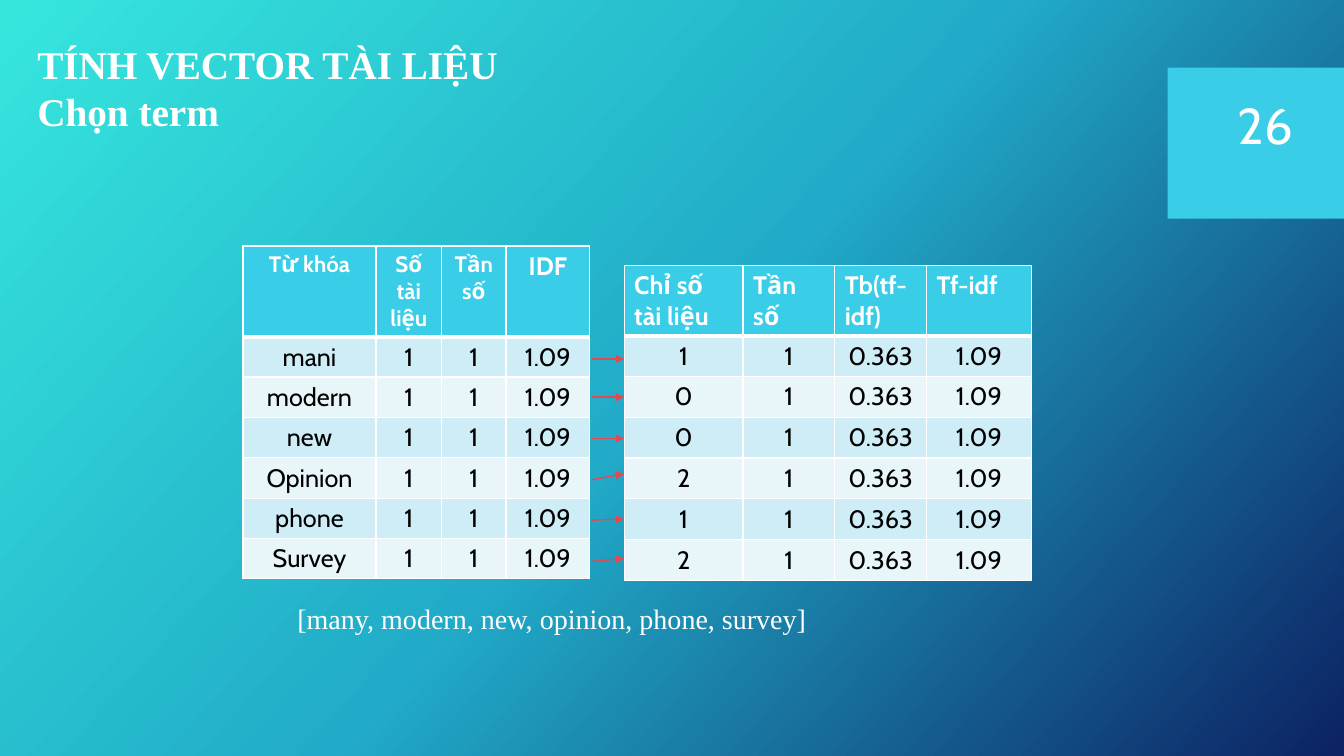
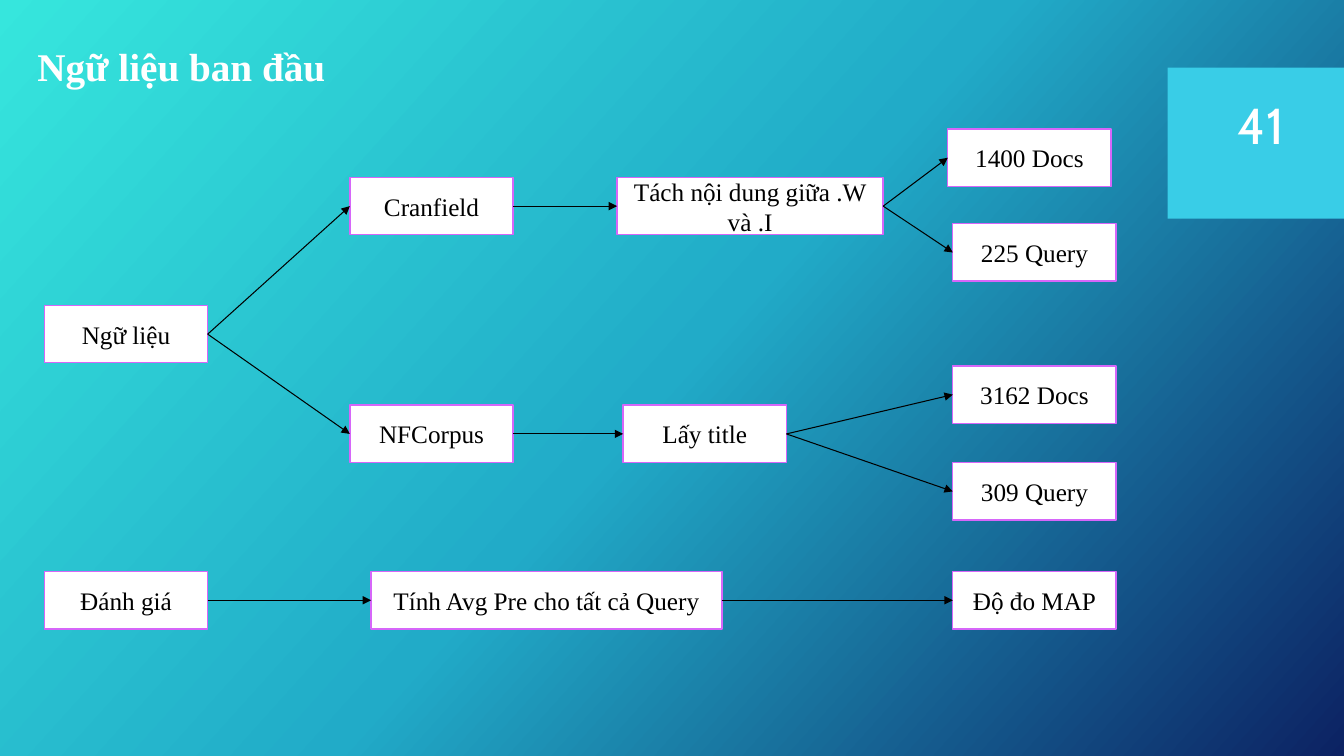
import pptx
import pptx.util
import pptx.dml.color
import pptx.enum.shapes
import pptx.enum.text
import pptx.oxml
import pptx.oxml.ns

Inches = pptx.util.Inches
Pt = pptx.util.Pt
RGBColor = pptx.dml.color.RGBColor
ALIGN = pptx.enum.text.PP_ALIGN
ANCHOR = pptx.enum.text.MSO_ANCHOR
RECTANGLE = pptx.enum.shapes.MSO_SHAPE.RECTANGLE
STRAIGHT = pptx.enum.shapes.MSO_CONNECTOR.STRAIGHT

WHITE = RGBColor(0xFF, 0xFF, 0xFF)
BLACK = RGBColor(0, 0, 0)
CYAN = RGBColor(0x39, 0xCD, 0xE7)
ROW_TINTS = [RGBColor(0xCE, 0xED, 0xF6), RGBColor(0xE8, 0xF6, 0xFA)]
VIOLET = RGBColor(0xD6, 0x66, 0xF9)
RED = RGBColor(0xE4, 0x49, 0x51)
BACKGROUND = [
    (0, RGBColor(0x36, 0xE6, 0xDD)),
    (50, RGBColor(0x21, 0xAB, 0xC8)),
    (100, RGBColor(0x0C, 0x22, 0x63)),
]
BACKGROUND_ANGLE = 42

SERIF, SANS = "Times New Roman", "Cabin"
TITLE_STYLE = {"name": SERIF, "size": Pt(28), "bold": True}
NUMBER_STYLE = {"name": SANS, "size": Pt(36)}
NOTE_STYLE = {"name": SERIF, "size": Pt(20)}
NODE_STYLE = {"name": SERIF, "size": Pt(18)}
HEAD_STYLE = {"name": SANS, "size": Pt(18), "bold": True}
SMALL_HEAD_STYLE = {**HEAD_STYLE, "size": Pt(16)}
BODY_STYLE = {"name": SANS, "size": Pt(18), "bold": False}

TERMS = ["mani", "modern", "new", "Opinion", "phone", "Survey"]
DOCUMENT_INDEXES = ["1", "0", "0", "2", "1", "2"]
TERM_LIST = "[many, modern, new, opinion, phone, survey]"

TABLES = [
    {
        "at": (6.19, 2.63), "height": 3.13, "head_height": 0.7,
        "columns": [1.18, 0.91, 0.91, 1.04],
        "heads": ["Chỉ số tài liệu", "Tần số", "Tb(tf-idf)", "Tf-idf"],
        "head_styles": [HEAD_STYLE] * 4, "head_align": ALIGN.LEFT,
        "rows": [[index, "1", "0.363", "1.09"] for index in DOCUMENT_INDEXES],
    },
    {
        "at": (2.41, 2.44), "height": 3.3, "head_height": 0.9,
        "columns": [1.32, 0.65, 0.64, 0.83],
        "heads": ["Từ khóa", "Số tài liệu", "Tần số", "IDF"],
        "head_styles": [SMALL_HEAD_STYLE] * 3 + [HEAD_STYLE],
        "head_align": ALIGN.CENTER,
        "rows": [[term, "1", "1", "1.09"] for term in TERMS],
    },
]
ROW_LINKS = [(3.56, 3.56), (3.94, 3.94), (4.35, 4.35),
             (4.76, 4.7), (5.16, 5.15), (5.57, 5.54)]
LINK_LEFT, LINK_RIGHT = 5.87, 6.19

NODE_WIDTH, NODE_HEIGHT = 1.62, 0.57
SOURCE_X, CORPUS_X, RESULT_X = 0.44, 3.47, 9.45
TOP_Y, MIDDLE_Y, BOTTOM_Y = 1.76, 4.02, 5.67
NODES = {
    "Ngữ liệu": (SOURCE_X, 3.03, NODE_WIDTH),
    "Cranfield": (CORPUS_X, TOP_Y, NODE_WIDTH),
    "NFCorpus": (CORPUS_X, MIDDLE_Y, NODE_WIDTH),
    "Tách nội dung giữa .W và .I": (6.12, TOP_Y, 2.64),
    "1400 Docs": (9.4, 1.28, NODE_WIDTH),
    "225 Query": (RESULT_X, 2.22, NODE_WIDTH),
    "Lấy title": (6.18, MIDDLE_Y, NODE_WIDTH),
    "3162 Docs": (RESULT_X, 3.63, NODE_WIDTH),
    "309 Query": (RESULT_X, 4.59, NODE_WIDTH),
    "Đánh giá": (SOURCE_X, BOTTOM_Y, NODE_WIDTH),
    "Tính Avg Pre cho tất cả Query": (3.68, BOTTOM_Y, 3.48),
    "Độ đo MAP": (RESULT_X, BOTTOM_Y, NODE_WIDTH),
}
FLOWS = {
    "Ngữ liệu": ["Cranfield", "NFCorpus"],
    "Cranfield": ["Tách nội dung giữa .W và .I"],
    "Tách nội dung giữa .W và .I": ["1400 Docs", "225 Query"],
    "NFCorpus": ["Lấy title"],
    "Lấy title": ["3162 Docs", "309 Query"],
    "Đánh giá": ["Tính Avg Pre cho tất cả Query"],
    "Tính Avg Pre cho tất cả Query": ["Độ đo MAP"],
}


def add_xml(parent, tag, **attributes):
    child = pptx.oxml.parse_xml(f"<a:{tag} {pptx.oxml.ns.nsdecls('a')}/>")
    for name, value in attributes.items():
        child.set(name, str(value))
    parent.append(child)
    return child


def paint_background(master):
    master.background.fill.solid()
    properties = master.element.find(".//" + pptx.oxml.ns.qn("p:bgPr"))
    properties.remove(properties[0])
    gradient = add_xml(properties, "gradFill", rotWithShape=1)
    properties.insert(0, gradient)
    stops = add_xml(gradient, "gsLst")
    for percent, color in BACKGROUND:
        add_xml(add_xml(stops, "gs", pos=percent * 1000), "srgbClr", val=color)
    add_xml(gradient, "lin", ang=BACKGROUND_ANGLE * 60000, scaled=0)


def write(frame, lines, style, color=WHITE, align=ALIGN.LEFT):
    for number, line in enumerate(lines):
        para = frame.add_paragraph() if number else frame.paragraphs[0]
        para.alignment = align
        span = para.add_run()
        span.text = line
        for name, value in style.items():
            setattr(span.font, name, value)
        span.font.color.rgb = color


def add_text(page, bounds, line, style, wrap=True, anchor=ANCHOR.TOP):
    box = page.shapes.add_textbox(*map(Inches, bounds))
    box.text_frame.word_wrap = wrap
    box.text_frame.vertical_anchor = anchor
    write(box.text_frame, [line], style)


def add_rectangle(page, bounds, color):
    box = page.shapes.add_shape(RECTANGLE, *map(Inches, bounds))
    box.shadow.inherit = False
    box.fill.solid()
    box.fill.fore_color.rgb = color
    box.line.fill.background()
    return box


def add_arrow(page, start, end, color, width):
    arrow = page.shapes.add_connector(STRAIGHT, *map(Inches, start + end))
    arrow.line.color.rgb = color
    arrow.line.width = Pt(width)
    add_xml(arrow.line._get_or_add_ln(), "tailEnd", type="triangle")
    add_xml(arrow._element.spPr, "effectLst")
    return arrow


def add_page(deck, number, title_lines, title_top, title_height):
    page = deck.slides.add_slide(deck.slide_layouts[5])
    add_rectangle(page, (11.58, 0.67, 1.75, 1.5), CYAN)
    title = page.shapes.title
    bounds = {"left": 0.27, "top": title_top, "width": 10.54, "height": title_height}
    for name, value in bounds.items():
        setattr(title, name, Inches(value))
    title.text_frame.auto_size = pptx.enum.text.MSO_AUTO_SIZE.NONE
    title.text_frame.vertical_anchor = ANCHOR.TOP
    write(title.text_frame, title_lines, TITLE_STYLE)
    add_text(page, (12.18, 0.64, 1.26, 1.19), number, NUMBER_STYLE, anchor=ANCHOR.MIDDLE)
    return page


def format_cell(cell, fill, borders):
    properties = cell._tc.get_or_add_tcPr()
    for side, width in borders.items():
        line = add_xml(properties, side, w=Pt(width))
        add_xml(add_xml(line, "solidFill"), "srgbClr", val=WHITE)
    cell.fill.solid()
    cell.fill.fore_color.rgb = fill


def add_grid(page, content):
    rows = [content["heads"]] + content["rows"]
    columns = content["columns"]
    bounds = (*content["at"], sum(columns), content["height"])
    table = page.shapes.add_table(len(rows), len(columns), *map(Inches, bounds)).table
    for column, width in zip(table.columns, columns):
        column.width = Inches(width)
    body_height = (content["height"] - content["head_height"]) / len(content["rows"])
    for r, values in enumerate(rows):
        is_head = r == 0
        table.rows[r].height = Inches(content["head_height"] if is_head else body_height)
        borders = {"lnL": 1, "lnR": 1, "lnT": 3 if r == 1 else 1, "lnB": 3 if is_head else 1}
        for c, value in enumerate(values):
            cell = table.cell(r, c)
            format_cell(cell, CYAN if is_head else ROW_TINTS[(r - 1) % 2], borders)
            if is_head:
                write(cell.text_frame, [value], content["head_styles"][c],
                      align=content["head_align"])
            else:
                write(cell.text_frame, [value], BODY_STYLE, BLACK, ALIGN.CENTER)


def add_node(page, label, left, top, width):
    box = add_rectangle(page, (left, top, width, NODE_HEIGHT), WHITE)
    box.line.color.rgb = VIOLET
    box.line.width = Pt(1)
    box.text_frame.word_wrap = True
    box.text_frame.vertical_anchor = ANCHOR.MIDDLE
    write(box.text_frame, [label], NODE_STYLE, BLACK, ALIGN.CENTER)
    return box


def build_term_page(deck):
    page = add_page(deck, "26", ["TÍNH VECTOR TÀI LIỆU", "Chọn term"], 0.35, 1.04)
    for content in TABLES:
        add_grid(page, content)
    add_text(page, (2.85, 5.92, 5.29, 0.44), TERM_LIST, NOTE_STYLE, wrap=False)
    for start_y, end_y in ROW_LINKS:
        add_arrow(page, (LINK_LEFT, start_y), (LINK_RIGHT, end_y), RED, 1)


def build_corpus_page(deck):
    page = add_page(deck, "41", ["Ngữ liệu ban đầu"], 0.37, 0.57)
    boxes = {label: add_node(page, label, *place) for label, place in NODES.items()}
    for origin, targets in FLOWS.items():
        for target in targets:
            arrow = add_arrow(page, (0, 0), (1, 1), BLACK, 0.75)
            arrow.begin_connect(boxes[origin], 3)
            arrow.end_connect(boxes[target], 1)


def main():
    deck = pptx.Presentation()
    deck.slide_width, deck.slide_height = Inches(13.33), Inches(7.5)
    paint_background(deck.slide_master)
    build_term_page(deck)
    build_corpus_page(deck)
    deck.save("out.pptx")


if __name__ == "__main__":
    main()
